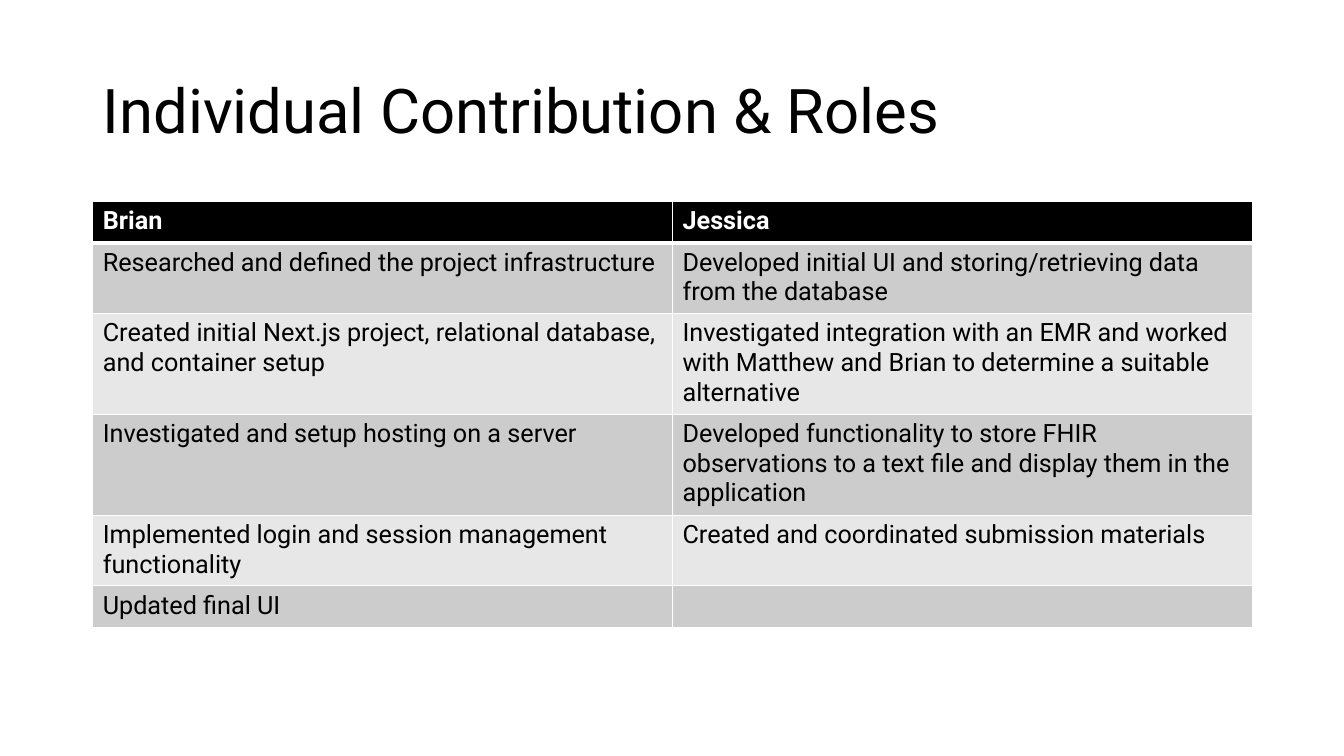
import pptx
import pptx.util
import pptx.dml.color
import pptx.enum.text
import pptx.oxml
import pptx.oxml.ns

Inches = pptx.util.Inches
Pt = pptx.util.Pt
RGBColor = pptx.dml.color.RGBColor

TITLE = "Individual Contribution & Roles"
CONTRIBUTIONS = [
    ("Brian", "Jessica"),
    ("Researched and defined the project infrastructure",
     "Developed initial UI and storing/retrieving data from the database"),
    ("Created initial Next.js project, relational database, and container setup",
     "Investigated integration with an EMR and worked with Matthew and Brian "
     "to determine a suitable alternative"),
    ("Investigated and setup hosting on a server",
     "Developed functionality to store FHIR observations to a text file and "
     "display them in the application"),
    ("Implemented login and session management functionality",
     "Created and coordinated submission materials"),
    ("Updated final UI", ""),
]

FONT = "Roboto"
BLACK = RGBColor(0x00, 0x00, 0x00)
WHITE = RGBColor(0xFF, 0xFF, 0xFF)
DARK_BAND = RGBColor(0xCC, 0xCC, 0xCC)
LIGHT_BAND = RGBColor(0xE7, 0xE7, 0xE7)

LEFT, WIDTH = 0.92, 11.5
TABLE_TOP = 2
ROW_HEIGHT = 0.41


def style_paragraph(paragraph, size, color, bold=False):
    paragraph.font.name = FONT
    paragraph.font.size = Pt(size)
    paragraph.font.color.rgb = color
    paragraph.font.bold = bold


def add_border(cell, side, width):
    border = pptx.oxml.parse_xml(
        f'<a:{side} {pptx.oxml.ns.nsdecls("a")} w="{Pt(width)}">'
        f'<a:solidFill><a:srgbClr val="{WHITE}"/></a:solidFill></a:{side}>')
    cell._tc.get_or_add_tcPr().append(border)


def add_title(slide):
    box = slide.shapes.add_textbox(Inches(LEFT), Inches(0.4), Inches(WIDTH), Inches(1.45))
    frame = box.text_frame
    frame.word_wrap = True
    frame.vertical_anchor = pptx.enum.text.MSO_ANCHOR.MIDDLE
    paragraph = frame.paragraphs[0]
    paragraph.text = TITLE
    paragraph.line_spacing = 0.9
    style_paragraph(paragraph, 44, BLACK)


def add_contributions(slide):
    table = slide.shapes.add_table(
        len(CONTRIBUTIONS), len(CONTRIBUTIONS[0]), Inches(LEFT), Inches(TABLE_TOP),
        Inches(WIDTH), Inches(ROW_HEIGHT * len(CONTRIBUTIONS))).table
    for row_index, texts in enumerate(CONTRIBUTIONS):
        header = row_index == 0
        band = BLACK if header else DARK_BAND if row_index % 2 else LIGHT_BAND
        for column_index, text in enumerate(texts):
            cell = table.cell(row_index, column_index)
            for side in ("lnL", "lnR", "lnT", "lnB"):
                thick = (header and side == "lnB") or (row_index == 1 and side == "lnT")
                add_border(cell, side, 3 if thick else 1)
            cell.fill.solid()
            cell.fill.fore_color.rgb = band
            paragraph = cell.text_frame.paragraphs[0]
            if text:
                paragraph.text = text
            style_paragraph(paragraph, 18, WHITE if header else BLACK, header)


def main():
    presentation = pptx.Presentation()
    presentation.slide_width = Inches(13.33)
    presentation.slide_height = Inches(7.5)
    slide = presentation.slides.add_slide(presentation.slide_layouts[6])
    add_title(slide)
    add_contributions(slide)
    presentation.save("out.pptx")


if __name__ == "__main__":
    main()
